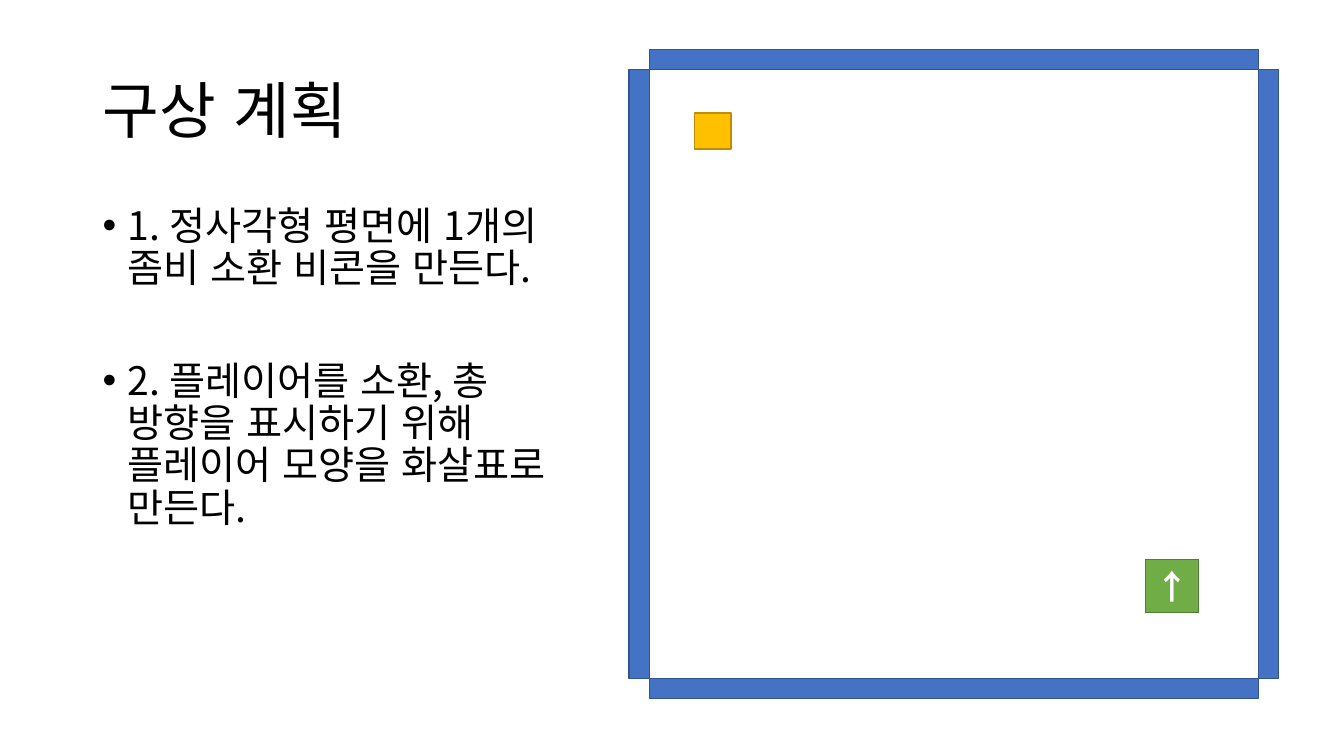
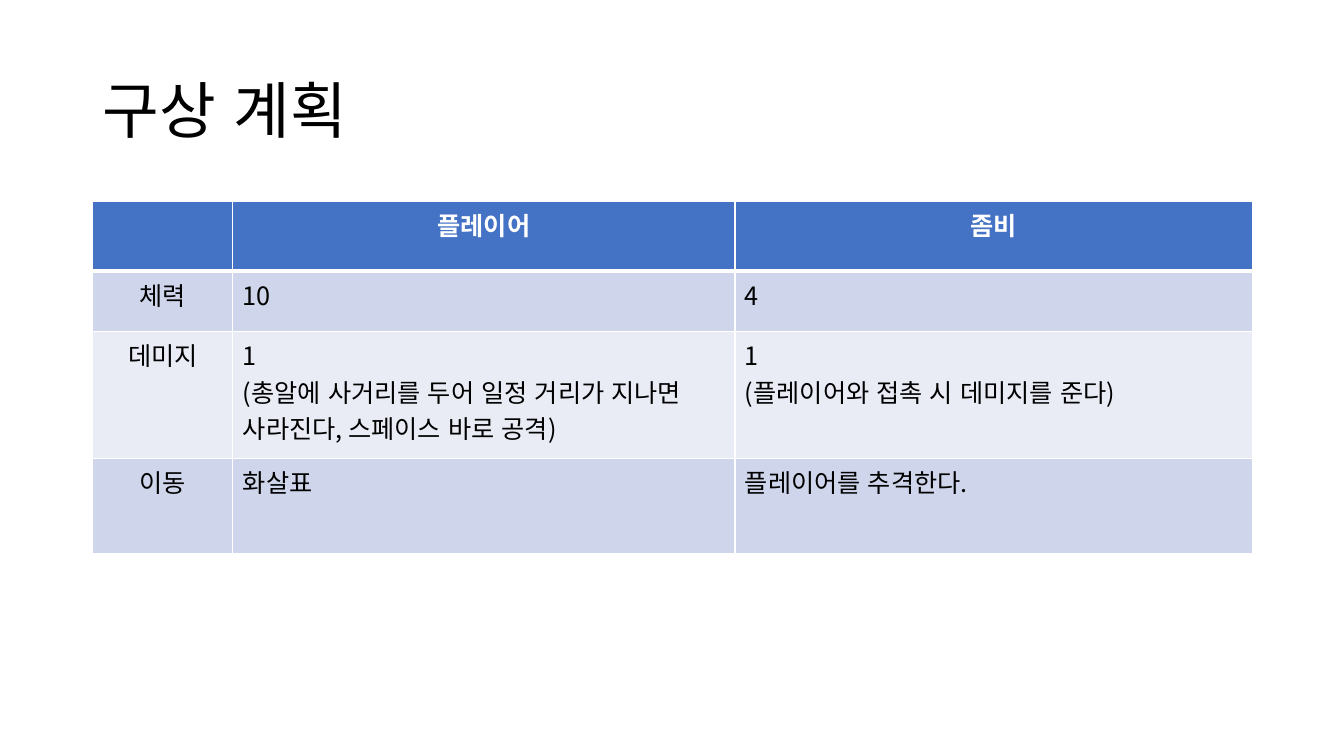
from typing import NamedTuple

from lxml.etree import SubElement
from pptx import Presentation
from pptx.dml.color import RGBColor
from pptx.enum.lang import MSO_LANGUAGE_ID as Language
from pptx.enum.shapes import MSO_SHAPE as Preset
from pptx.enum.text import MSO_ANCHOR as Anchor, MSO_AUTO_SIZE as AutoSize, PP_ALIGN as Align
from pptx.oxml.ns import qn
from pptx.util import Emu, Inches, Pt

WHITE = RGBColor(0xFF, 0xFF, 0xFF)
BLACK = RGBColor(0x00, 0x00, 0x00)
BLUE = RGBColor(0x44, 0x72, 0xC4)
BLUE_EDGE = RGBColor(0x32, 0x54, 0x91)
GOLD = RGBColor(0xFF, 0xC0, 0x00)
GOLD_EDGE = RGBColor(0xBD, 0x8E, 0x00)
GREEN = RGBColor(0x70, 0xAD, 0x47)
GREEN_EDGE = RGBColor(0x53, 0x80, 0x35)
BAND_DARK = RGBColor(0xCF, 0xD5, 0xEA)
BAND_LIGHT = RGBColor(0xE9, 0xEB, 0xF5)

FONT = "Noto Sans CJK KR"
SLIDE_W, SLIDE_H = Inches(13.33), Inches(7.5)
TITLE = "구상 계획"


class Area(NamedTuple):
    """A rectangle in percent of the slide's width and height."""
    left: float
    top: float
    width: float
    height: float

    def emu(self) -> tuple[Emu, ...]:
        return tuple(Emu(round(share * side / 100))
                     for share, side in zip(self, (SLIDE_W, SLIDE_H) * 2))


class Block(NamedTuple):
    """A rectangle on the arena's grid, counted in tiles."""
    column: float
    row: float
    columns: float
    rows: float
    fill: RGBColor
    edge: RGBColor
    symbol: str = ""


TITLE_AREA = Area(6.9, 5.33, 86.27, 19.33)
PLAN_AREA = Area(6.9, 26.67, 34.8, 63.47)
STATS_AREA = Area(6.9, 26.67, 86.27, 46.53)

# The arena is a square room of FLOOR tiles with walls one tile thick.
ARENA_LEFT, ARENA_TOP = Area(46.81, 6.53, 0, 0).emu()[:2]
TILE = SLIDE_H * 0.2 / 7.5
FLOOR = 30.2
WALLS = [
    Block(column, row, columns, rows, BLUE, BLUE_EDGE)
    for column, row, columns, rows in (
        (1, 0, FLOOR, 1), (0, 1, 1, FLOOR),
        (1, FLOOR + 1, FLOOR, 1), (FLOOR + 1, 1, 1, FLOOR))
]
BEACON = Block(3.25, 3.15, 1.8, 1.8, GOLD, GOLD_EDGE)
PLAYER = Block(25.6, 25.3, 2.65, 2.65, GREEN, GREEN_EDGE, "↑")

STEPS = [
    "1. 정사각형 평면에 1개의 좀비 소환 비콘을 만든다.",
    "2. 플레이어를 소환, 총 방향을 표시하기 위해 플레이어 모양을 화살표로 만든다.",
]
STEP_GAP = Pt(50)

STATS = [
    ["", "플레이어", "좀비"],
    ["체력", "10", "4"],
    ["데미지",
     "1\n(총알에 사거리를 두어 일정 거리가 지나면 사라진다, 스페이스 바로 공격)",
     "1\n(플레이어와 접촉 시 데미지를 준다)"],
    ["이동", "화살표", "플레이어를 추격한다."],
]
COLUMN_SHARES = [12.09, 43.3, 44.61]
ROW_SHARES = [19.77, 17.19, 36.1, 26.94]


def add_run(paragraph, text: str, size: float, color: RGBColor = BLACK,
            bold: bool = False) -> None:
    run = paragraph.add_run()
    run.text = text
    font = run.font
    font.size, font.bold, font.name = Pt(size), bold, FONT
    font.color.rgb = color
    font.language_id = Language.KOREAN
    SubElement(run._r.rPr, qn("a:ea"), typeface=FONT)


def add_titled_slide(deck):
    slide = deck.slides.add_slide(deck.slide_layouts[5])
    title = slide.shapes.title
    title.left, title.top, title.width, title.height = TITLE_AREA.emu()
    frame = title.text_frame
    frame.auto_size, frame.vertical_anchor = AutoSize.NONE, Anchor.MIDDLE
    paragraph = frame.paragraphs[0]
    paragraph.alignment, paragraph.line_spacing = Align.LEFT, 0.9
    add_run(paragraph, TITLE, 44)
    return slide


def add_bullets(slide, area: Area, items: list[str]) -> None:
    frame = slide.shapes.add_textbox(*area.emu()).text_frame
    frame.word_wrap = True
    for index, item in enumerate(items):
        paragraph = frame.add_paragraph() if index else frame.paragraphs[0]
        paragraph.line_spacing = 0.9
        paragraph.space_before = STEP_GAP if index else Pt(10)
        props = paragraph._p.get_or_add_pPr()
        props.set("marL", str(Inches(0.25)))
        props.set("indent", str(-Inches(0.25)))
        SubElement(props, qn("a:buFont"), typeface="Arial")
        SubElement(props, qn("a:buChar"), char="•")
        add_run(paragraph, item, 28)


def add_block(slide, block: Block) -> None:
    shape = slide.shapes.add_shape(
        Preset.RECTANGLE,
        Emu(round(ARENA_LEFT + block.column * TILE)),
        Emu(round(ARENA_TOP + block.row * TILE)),
        Emu(round(block.columns * TILE)), Emu(round(block.rows * TILE)))
    shape.shadow.inherit = False
    shape.fill.solid()
    shape.fill.fore_color.rgb = block.fill
    shape.line.color.rgb = block.edge
    shape.line.width = Pt(1)
    if block.symbol:
        frame = shape.text_frame
        frame.vertical_anchor = Anchor.MIDDLE
        frame.paragraphs[0].alignment = Align.CENTER
        add_run(frame.paragraphs[0], block.symbol, 24, WHITE, bold=True)


def set_borders(cell, **widths: float) -> None:
    """Draw white borders; must come before the fill, as the schema orders them."""
    props = cell._tc.get_or_add_tcPr()
    for side, width in widths.items():
        line = SubElement(props, qn(f"a:ln{side}"), w=str(Pt(width)))
        SubElement(SubElement(line, qn("a:solidFill")), qn("a:srgbClr"), val=str(WHITE))


def add_stats_table(slide) -> None:
    left, top, width, height = STATS_AREA.emu()
    table = slide.shapes.add_table(len(STATS), len(STATS[0]), left, top, width, height).table
    for column, share in zip(table.columns, COLUMN_SHARES):
        column.width = Emu(round(width * share / 100))
    for row, share in zip(table.rows, ROW_SHARES):
        row.height = Emu(round(height * share / 100))

    for r, entries in enumerate(STATS):
        header = r == 0
        fill = BLUE if header else BAND_DARK if r % 2 else BAND_LIGHT
        for c, entry in enumerate(entries):
            cell = table.cell(r, c)
            set_borders(cell, L=1, R=1, T=3 if r == 1 else 1, B=3 if header else 1)
            cell.fill.solid()
            cell.fill.fore_color.rgb = fill
            if not entry:
                continue
            frame = cell.text_frame
            for index, line in enumerate(entry.split("\n")):
                paragraph = frame.add_paragraph() if index else frame.paragraphs[0]
                paragraph.alignment = Align.CENTER if header or c == 0 else Align.LEFT
                add_run(paragraph, line, 18, WHITE if header else BLACK, bold=header)


def main() -> None:
    deck = Presentation()
    deck.slide_width, deck.slide_height = SLIDE_W, SLIDE_H

    plan = add_titled_slide(deck)
    add_bullets(plan, PLAN_AREA, STEPS)
    for block in (*WALLS, BEACON, PLAYER):
        add_block(plan, block)

    add_stats_table(add_titled_slide(deck))
    deck.save("out.pptx")


if __name__ == "__main__":
    main()
